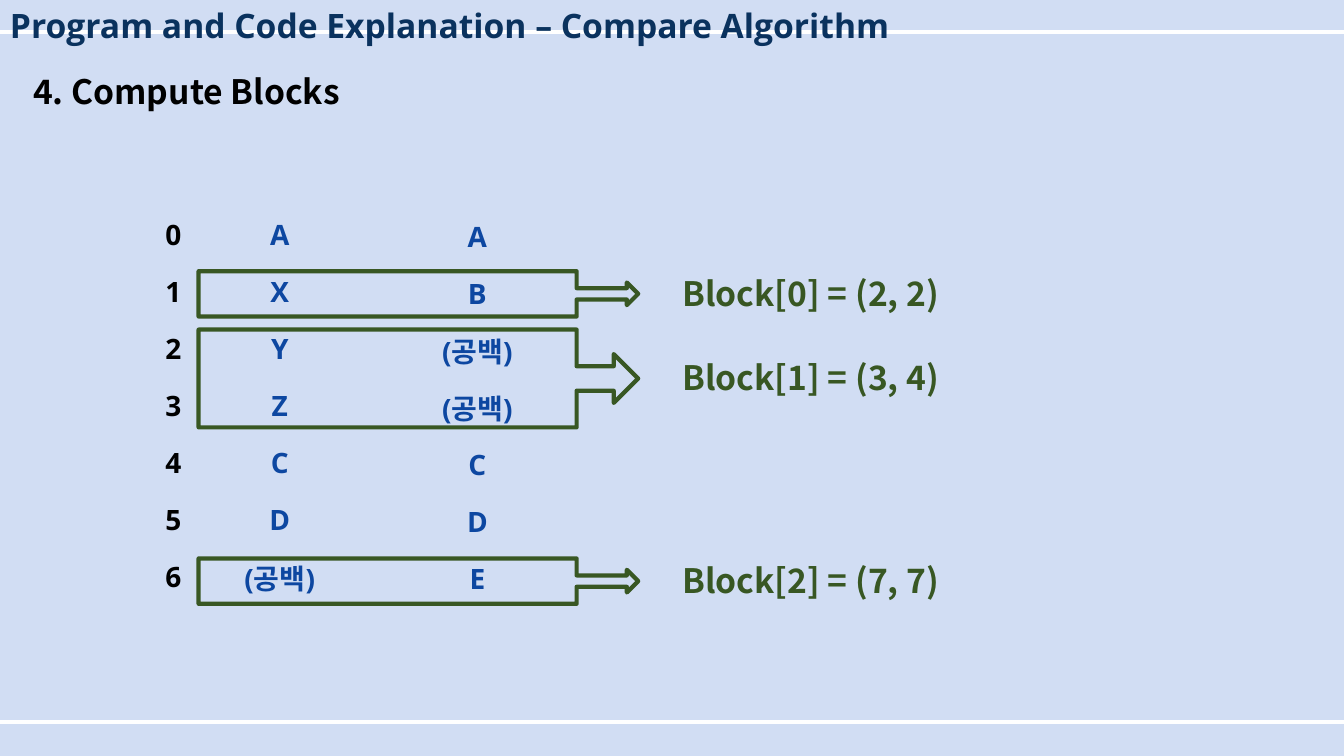
from dataclasses import dataclass

from lxml.etree import SubElement
from pptx import Presentation
from pptx.dml.color import RGBColor
from pptx.enum.shapes import MSO_CONNECTOR, MSO_SHAPE
from pptx.enum.text import MSO_ANCHOR, PP_ALIGN
from pptx.oxml.ns import qn
from pptx.util import Inches, Pt


@dataclass(frozen=True)
class Theme:
    background: str = "D1DDF3"
    rule: str = "FFFFFF"
    title: str = "0A325E"
    text: str = "000000"
    value: str = "0D47A1"
    block: str = "385723"
    latin: str = "Open Sans"
    korean: str = "Noto Sans CJK KR"
    heading_size: int = 24
    cell_size: int = 20
    line_width: int = 3
    plain_table: str = "{2D5ABB26-0587-4C30-8999-92F81FD0307C}"


class SlideBuilder:
    def __init__(self, slide, theme):
        self.s = slide
        self.theme = theme
        fill = slide.background.fill
        fill.solid()
        fill.fore_color.rgb = RGBColor.from_string(theme.background)

    def style(self, p, size, font, color):
        for r in p.runs:
            r.font.size = Pt(size)
            r.font.bold = True
            r.font.name = font
            r.font.color.rgb = RGBColor.from_string(color)
            ea = SubElement(r.font._element, qn("a:ea"))
            ea.set("typeface", self.theme.korean)

    def outline(self, line, color):
        line.color.rgb = RGBColor.from_string(color)
        line.width = Pt(self.theme.line_width)

    def rule(self, y):
        line = self.s.shapes.add_connector(
            MSO_CONNECTOR.STRAIGHT, 0, Inches(y), Inches(13.33), Inches(y))
        self.outline(line.line, self.theme.rule)
        SubElement(line._element.spPr, qn("a:effectLst"))

    def text(self, x, y, width, text, font, color):
        box = self.s.shapes.add_textbox(
            Inches(x), Inches(y), Inches(width), Inches(0.5))
        tf = box.text_frame
        tf.word_wrap = True
        tf.text = text
        self.style(tf.paragraphs[0], self.theme.heading_size, font, color)

    def column(self, x, y, values, color, align):
        frame = self.s.shapes.add_table(
            len(values), 1, Inches(x), Inches(y), Inches(1.17), Inches(3.97))
        table = frame.table
        table.first_row = table.horz_banding = False
        for style_id in frame._element.iter(qn("a:tableStyleId")):
            style_id.text = self.theme.plain_table
        for row, value in enumerate(values):
            cell = table.cell(row, 0)
            cell.fill.background()
            cell.vertical_anchor = MSO_ANCHOR.MIDDLE
            cell.text = value
            p = cell.text_frame.paragraphs[0]
            p.alignment = align
            self.style(p, self.theme.cell_size, self.theme.latin, color)

    def callout(self, y, height):
        sp = self.s.shapes.add_shape(
            MSO_SHAPE.RIGHT_ARROW_CALLOUT,
            Inches(1.97), Inches(y), Inches(4.36), Inches(height))
        for i, value in enumerate((0.25, 0.25, 0.25, 0.86)):
            sp.adjustments[i] = value
        sp.fill.background()
        sp.shadow.inherit = False
        self.outline(sp.line, self.theme.block)


def main():
    prs = Presentation()
    prs.slide_width, prs.slide_height = Inches(13.33), Inches(7.5)
    theme = Theme()
    s = SlideBuilder(prs.slides.add_slide(prs.slide_layouts[6]), theme)

    # Frame and headings
    for y in (0.32, 7.16):
        s.rule(y)
    s.text(0, 0, 11.02, "Program and Code Explanation – Compare Algorithm",
           theme.latin, theme.title)
    s.text(0.23, 0.65, 8.28, "4. Compute Blocks", theme.korean, theme.text)

    # Row numbers and the two compared sequences
    blank = "(공백)"
    left = ["A", "X", "Y", "Z", "C", "D", blank]
    right = ["A", "B", blank, blank, "C", "D", "E"]
    numbers = [str(i) for i in range(len(left))]
    s.column(2.19, 2.04, left, theme.value, PP_ALIGN.CENTER)
    s.column(4.15, 2.06, right, theme.value, PP_ALIGN.CENTER)
    s.column(0.73, 2.04, numbers, theme.text, PP_ALIGN.RIGHT)

    # Differing blocks, each with its label centred on the arrow
    blocks = [(2.69, 0.45, "(2, 2)"), (3.27, 0.97, "(3, 4)"), (5.54, 0.45, "(7, 7)")]
    for i, (y, height, span) in enumerate(blocks):
        s.callout(y, height)
        s.text(6.67, y + height / 2 - 0.26, 3.92, f"Block[{i}] = {span}",
               theme.korean, theme.block)

    prs.save("out.pptx")


if __name__ == "__main__":
    main()
